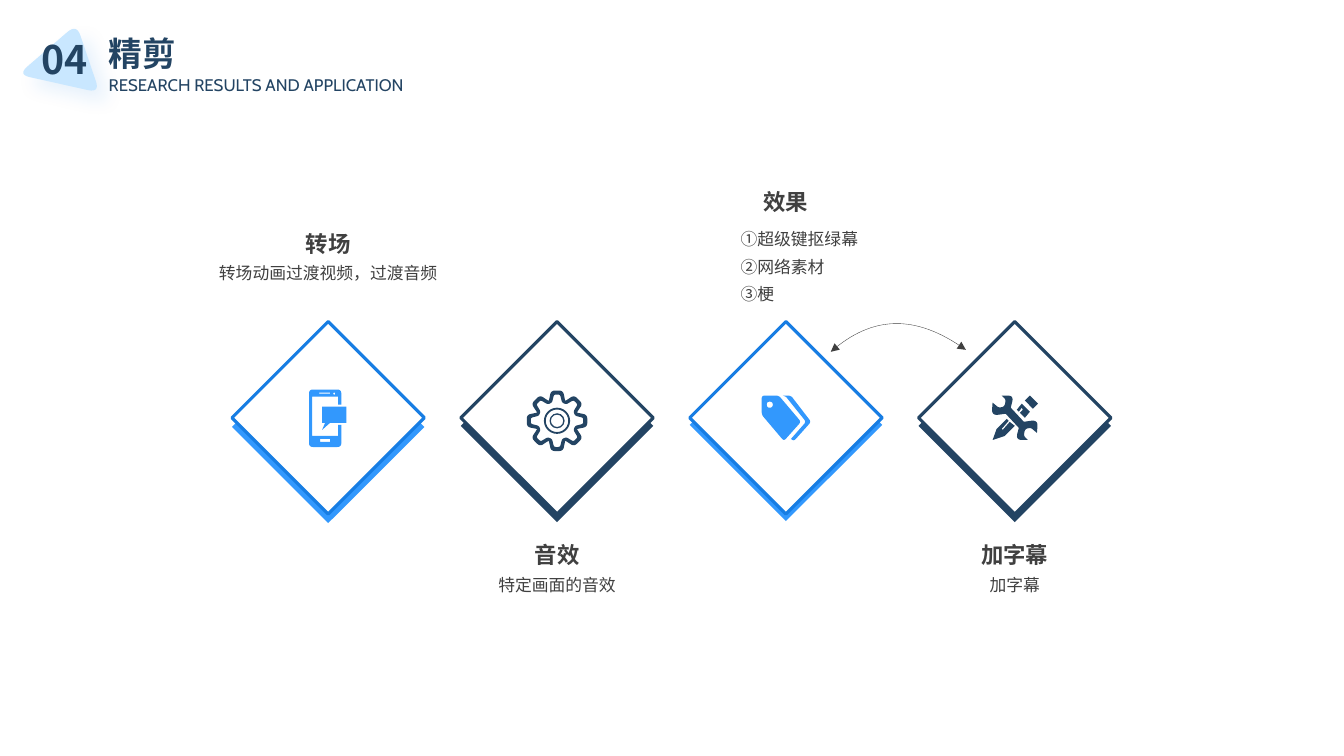
import math
from collections import namedtuple

from pptx import Presentation
from pptx import util as u
from pptx.dml.color import RGBColor
from pptx.enum import shapes, text
from pptx.oxml import ns, parse_xml

Box = namedtuple("Box", "left top width height")
Step = namedtuple("Step", "title lines bright drop above icon")

NAVY, BLUE, EDGE, GREY, WHITE, PALE = "234463", "3298FD", "177DE3", "404040", "FFFFFF", "C9E7FF"
CJK = "Noto Sans CJK SC"
SQUARE = 1.35
COLUMN = 2.27


def color(value):
    """Turn a hex string into a colour."""
    return RGBColor.from_string(value)


def paint(shape, fill=None, line=None, weight=1):
    """Set fill and outline and drop the default shadow."""
    shape.shadow.inherit = False
    if fill:
        shape.fill.solid()
        shape.fill.fore_color.rgb = color(fill)
    else:
        shape.fill.background()
    if line:
        shape.line.color.rgb = color(line)
        shape.line.width = u.Pt(weight)
    else:
        shape.line.fill.background()
    return shape


def add_preset(slide, kind, box, **style):
    """Add a preset shape in a box given in inches."""
    return paint(slide.shapes.add_shape(kind, *map(u.Inches, box)), **style)


def bezier(controls, count):
    """Sample a Bezier curve of any degree."""
    degree = len(controls) - 1
    points = []
    for step in range(count + 1):
        t = step / count
        weights = [math.comb(degree, i) * t**i * (1 - t)**(degree - i) for i in range(degree + 1)]
        points.append(tuple(sum(w * c[axis] for w, c in zip(weights, controls)) for axis in (0, 1)))
    return points


def rounded(corners):
    """Round each corner (x, y, radius) of a polygon; the radius may be left out."""
    points = []
    for index, (x, y, *radius) in enumerate(corners):
        if not radius:
            points.append((x, y))
            continue
        ends = []
        for other in (corners[index - 1], corners[(index + 1) % len(corners)]):
            length = math.dist((x, y), other[:2])
            share = min(radius[0] / length, 0.5)
            ends.append((x + (other[0] - x) * share, y + (other[1] - y) * share))
        points += bezier([ends[0], (x, y), ends[1]], 8)
    return points


def rectangle(left, top, right, bottom, *radius):
    """List the corners of a rectangle."""
    return [(left, top, *radius), (right, top, *radius), (right, bottom, *radius), (left, bottom, *radius)]


def add_outline(slide, contours, x=0, y=0, close=True, **style):
    """Add a freeform of one or more contours, shifted to x, y."""
    builder = None
    for contour in contours:
        points = [(u.Inches(x + px), u.Inches(y + py)) for px, py in contour]
        if builder is None:
            builder = slide.shapes.build_freeform(*points[0], scale=1.0)
        else:
            builder.move_to(*points[0])
        builder.add_line_segments(points[1:], close=close)
    return paint(builder.convert_to_shape(), **style)


def add_text(slide, box, lines, size, ink=GREY, font="Arial", bold=False, centred=False, pitch=None):
    """Add a text box; a line pitch in points makes it a label without insets."""
    frame = slide.shapes.add_textbox(*map(u.Inches, box)).text_frame
    frame.word_wrap = True
    frame.vertical_anchor = text.MSO_ANCHOR.TOP if pitch else text.MSO_ANCHOR.MIDDLE
    if pitch:
        frame.margin_left = frame.margin_right = frame.margin_top = frame.margin_bottom = 0
    frame.text = "\n".join(lines)
    for index, paragraph in enumerate(frame.paragraphs):
        paragraph.alignment = text.PP_ALIGN.CENTER if centred else text.PP_ALIGN.LEFT
        if pitch:
            paragraph.line_spacing = u.Pt(pitch)
        if index:
            paragraph.space_before = u.Pt(size * 0.2)
        for run in paragraph.runs:
            run.font.name, run.font.size, run.font.bold = font, u.Pt(size), bold
            run.font.color.rgb = color(ink)
            run._r.get_or_add_rPr().find(ns.qn("a:latin")).addnext(
                parse_xml(f'<a:ea {ns.nsdecls("a")} typeface="{CJK}"/>'))


def draw_phone(slide, x, y, ink):
    """Draw a phone with a speech bubble."""
    body = [(-0.19, -0.28, 0.04), (0.13, -0.28, 0.04), (0.13, -0.13), (0.1, -0.13), (0.1, -0.21),
            (-0.16, -0.21), (-0.16, 0.18), (0.1, 0.18), (0.1, 0.07), (0.13, 0.07),
            (0.13, 0.29, 0.04), (-0.19, 0.29, 0.04)]
    holes = [rectangle(-0.09, -0.25, 0.02, -0.24), rectangle(0.05, -0.25, 0.07, -0.23, 0.01),
             rectangle(-0.08, 0.21, 0.02, 0.24)]
    add_outline(slide, [rounded(part) for part in [body] + holes], x, y, fill=ink)
    bubble = [(-0.06, -0.11), (0.18, -0.11), (0.18, 0.05), (0.02, 0.05), (-0.06, 0.12), (-0.03, 0.05), (-0.06, 0.05)]
    add_outline(slide, [bubble], x, y, fill=ink)


def draw_gear(slide, x, y, ink):
    """Draw an eight-toothed gear with two rings."""
    centre = y + 0.03
    rims = []
    for root, root_y, tip, tip_y, radius in ((0.08, -0.2, 0.06, -0.3, 0.04), (0.05, -0.18, 0.03, -0.26, 0.02)):
        tooth = [(-root, root_y), (-tip, tip_y), (tip, tip_y), (root, root_y)]
        corners = []
        for turn in range(8):
            cos, sin = math.cos(turn * math.pi / 4), math.sin(turn * math.pi / 4)
            corners += [(px * cos - py * sin, px * sin + py * cos, radius) for px, py in tooth]
        rims.append(rounded(corners))
    add_outline(slide, rims, x, centre, fill=ink)
    for size, band in ((0.26, 0.07), (0.15, 0.09)):
        ring = add_preset(slide, shapes.MSO_SHAPE.DONUT, Box(x - size / 2, centre - size / 2, size, size), fill=ink)
        ring.adjustments[0] = band


def draw_tags(slide, x, y, ink):
    """Draw a price tag with a second one behind it."""
    front = [(-0.24, -0.22, 0.03), (-0.07, -0.22, 0.03), (0.15, 0.04, 0.03), (-0.02, 0.23, 0.03), (-0.24, -0.03, 0.03)]
    hole = rectangle(-0.19, -0.16, -0.13, -0.1, 0.03)
    back = [(-0.03, -0.22), (0.05, -0.22, 0.03), (0.25, 0.04, 0.03), (0.08, 0.23, 0.03), (0.05, 0.21),
            (0.2, 0.04, 0.03), (0, -0.21, 0.02)]
    add_outline(slide, [rounded(part) for part in (front, hole, back)], x, y, fill=ink)


def draw_tools(slide, x, y, ink):
    """Draw a pencil crossed with a wrench."""
    pencil = [(-0.05, 0.04), (-0.12, 0.12), (-0.13, 0.11), (-0.06, 0.03), (-0.08, 0.01),
              (-0.18, 0.11), (-0.22, 0.22), (-0.1, 0.18), (0, 0.08)]
    ferrule = [(0.04, -0.06), (0.07, -0.1), (0.08, -0.08), (0.05, -0.05), (0.1, 0), (0.15, -0.06), (0.07, -0.14),
               (0.02, -0.08)]
    eraser = [(0.1, -0.17), (0.15, -0.22), (0.23, -0.14), (0.18, -0.09)]
    jaw = [(-0.04, -0.1), (-0.01, -0.22, 0.1), (-0.13, -0.22), (-0.09, -0.18, 0.02), (-0.1, -0.11, 0.04),
           (-0.16, -0.1, 0.02), (-0.22, -0.15), (-0.23, -0.02, 0.1), (-0.09, -0.04)]
    wrench = jaw + [(-px, -py, *radius) for px, py, *radius in jaw]
    for part in (pencil, ferrule, eraser, wrench):
        add_outline(slide, [rounded(part)], x, y, fill=ink)


def draw_header(slide, box):
    """Place the numbered badge, the title and its subtitle."""
    corners = [(0.76, 0.24, 0.12), (0.99, 0.92, 0.12), (0.18, 0.74, 0.12)]
    badge = add_outline(slide, [rounded(corners)], fill=PALE)
    badge._element.spPr.find(ns.qn("a:effectLst")).append(parse_xml(
        f'<a:outerShdw {ns.nsdecls("a")} blurRad="{u.Pt(13)}" dist="{u.Pt(10)}" dir="2700000" algn="tl" '
        f'rotWithShape="0"><a:srgbClr val="{EDGE}"><a:alpha val="10000"/></a:srgbClr></a:outerShdw>'))
    add_text(slide, Box(box.left, box.top + 0.02, 0.82, 0.57), ["04"], 28, NAVY, CJK, True, True)
    add_text(slide, Box(box.left + 0.75, box.top, 3, 0.5), ["精剪"], 24, NAVY, CJK, True)
    add_text(slide, Box(box.left + 0.75, box.top + 0.41, 3.32, 0.3), ["RESEARCH RESULTS AND APPLICATION"],
             12, NAVY, "Cabin")


def draw_step(slide, box, step):
    """Place one diamond, its icon and its caption in a column."""
    x, y = box.left + box.width / 2, box.top + box.height / 2
    ink, edge = (BLUE, EDGE) if step.bright else (NAVY, NAVY)
    for drop, style in ((step.drop, {"fill": ink}), (0, {"fill": WHITE, "line": edge, "weight": 2.25})):
        square = Box(x - SQUARE / 2, y - SQUARE / 2 + drop, SQUARE, SQUARE)
        add_preset(slide, shapes.MSO_SHAPE.RECTANGLE, square, **style).rotation = 315
    step.icon(slide, x, y, ink)
    several = len(step.lines) > 1
    top = box.top - (0.8 if several else 0.38) if step.above else box.top + 2.71
    add_text(slide, Box(x - 0.85, top, 1.7, 0.32), [step.title], 16, bold=True, centred=True, pitch=23)
    if several:
        add_text(slide, Box(x - 0.45, top + 0.42, 1.38, 0.81), step.lines, 12, pitch=17.3)
    else:
        add_text(slide, Box(x - 1.35, top + 0.34, 2.7, 0.24), step.lines, 12, centred=True, pitch=17.3)


def draw_link(slide, box):
    """Draw the double-headed arc in its box."""
    shares = [(0, 1), (0.31, -0.35), (0.63, -0.39), (1, 0.93)]
    controls = [(box.left + px * box.width, box.top + py * box.height) for px, py in shares]
    arc = add_outline(slide, [bezier(controls, 32)], close=False, line=GREY, weight=0.25)
    for end in ("headEnd", "tailEnd"):
        arc.line._get_or_add_ln().append(parse_xml(f'<a:{end} {ns.nsdecls("a")} type="triangle"/>'))


def main():
    """Build the slide and save it."""
    presentation = Presentation()
    presentation.slide_width, presentation.slide_height = u.Inches(13.33), u.Inches(7.5)
    slide = presentation.slides.add_slide(presentation.slide_layouts[6])
    draw_header(slide, Box(0.23, 0.28, 4.07, 0.71))
    draw_link(slide, Box(8.24, 3.22, 1.34, 0.27))
    steps = [Step("转场", ["转场动画过渡视频，过渡音频"], True, 0.09, True, draw_phone),
             Step("音效", ["特定画面的音效"], False, 0.08, False, draw_gear),
             Step("效果", ["①超级键抠绿幕", "②网络素材", "③梗"], True, 0.07, True, draw_tags),
             Step("加字幕", ["加字幕"], False, 0.08, False, draw_tools)]
    for index, step in enumerate(steps):
        draw_step(slide, Box(2.12 + index * COLUMN, 2.61, COLUMN, 3.07), step)
    presentation.save("out.pptx")


if __name__ == "__main__":
    main()
